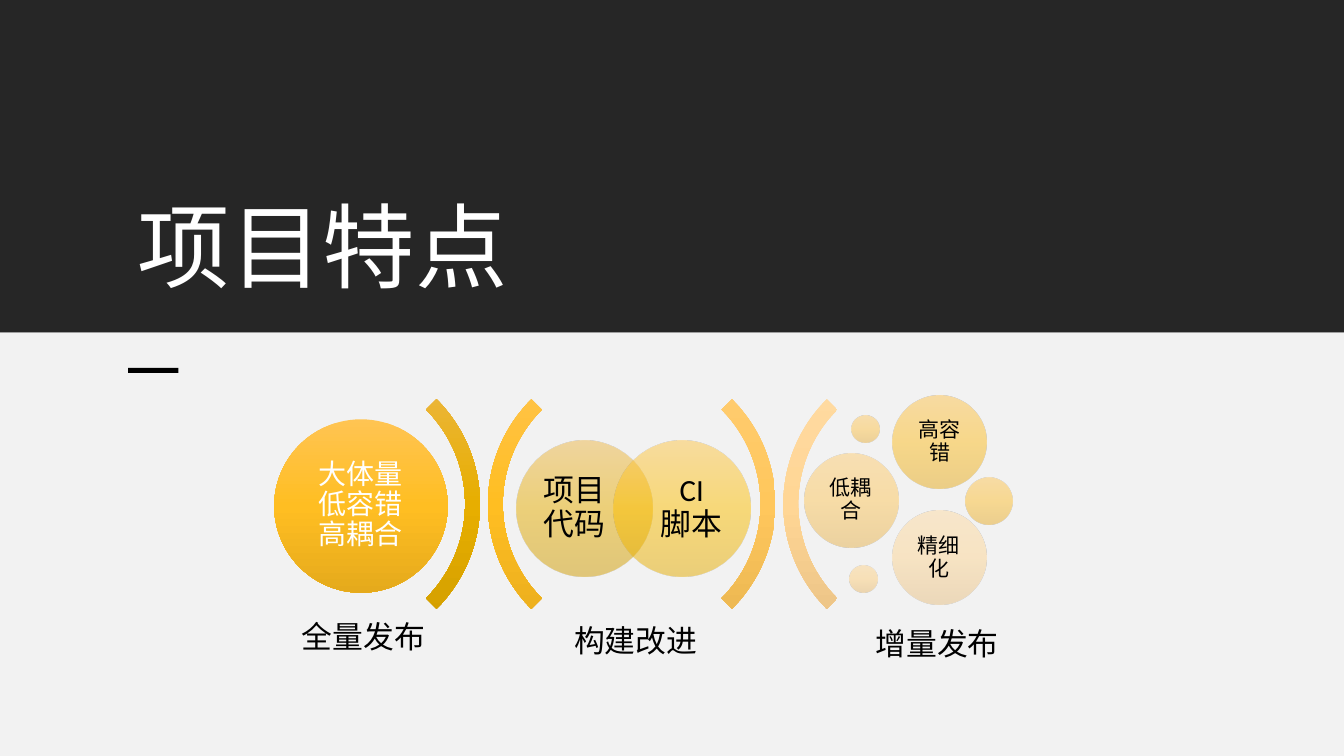
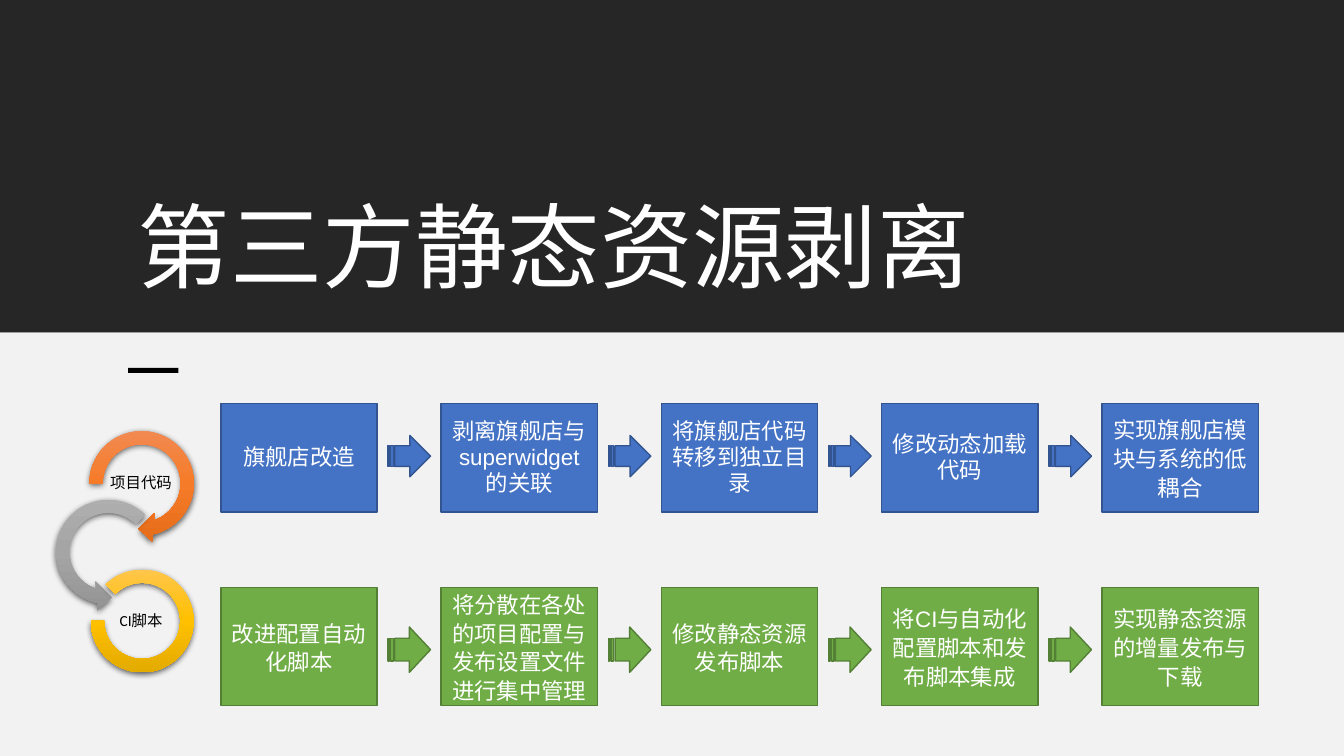
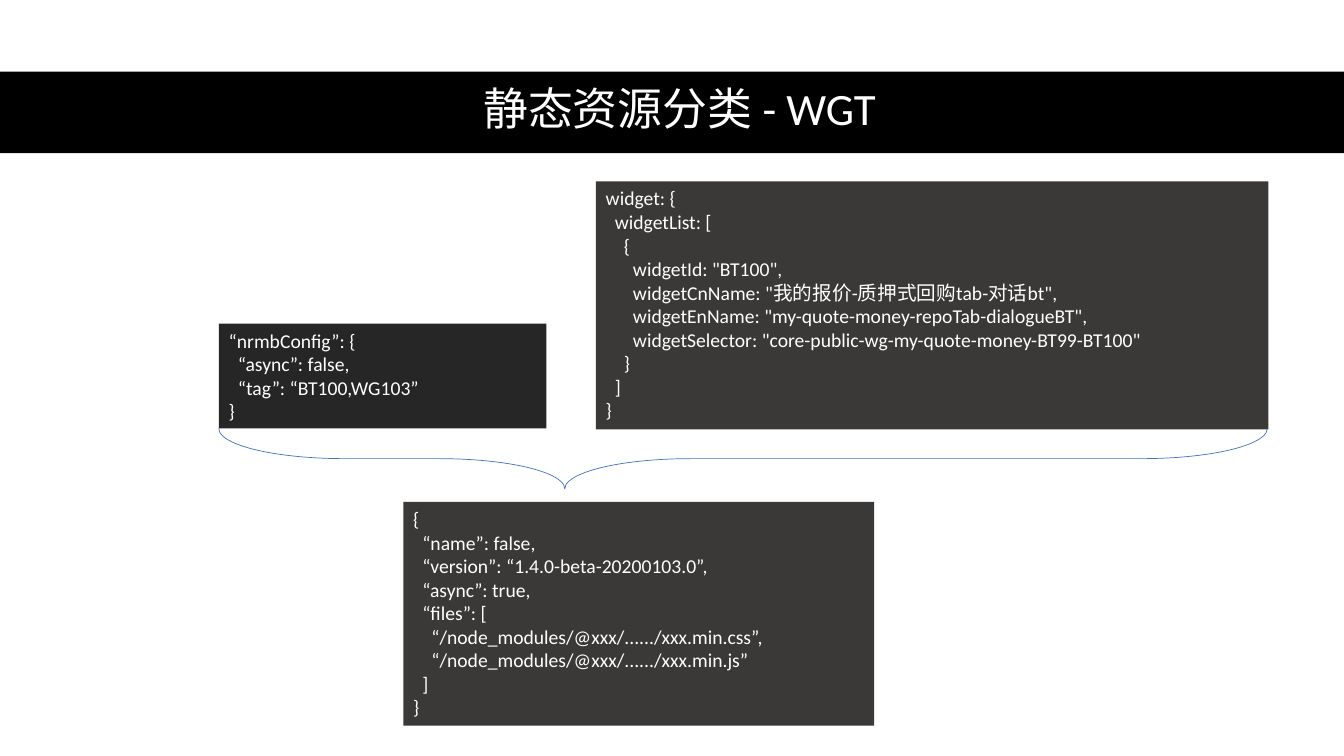
"""Build three slides on project features, resource separation and resource types."""
from lxml.etree import SubElement
from pptx import Presentation
from pptx.dml.color import RGBColor
from pptx.enum.shapes import MSO_SHAPE as SHAPE
from pptx.enum.text import MSO_ANCHOR as ANCHOR, PP_ALIGN as ALIGN
from pptx.oxml.ns import qn
from pptx.util import Inches, Pt

COLORS = {
    "white": "FFFFFF", "black": "000000", "dark": "262626", "panel": "F2F2F2",
    "code": "3B3838", "blue": "4472C4", "blue_line": "325491",
    "green": "70AD47", "green_line": "538035",
}
GRADIENTS = {
    "gold": ("EDB84B", "E7AE00", "CE9B00"),
    "amber": ("FFC452", "FFBE22", "E5AA1C"),
    "yellow": ("FFC64B", "FFC000", "E3AB00"),
    "honey": ("FFC659", "FFC032", "E5AB2B"),
    "sand": ("FFCA69", "FFC44B", "E5AF40"),
    "apricot": ("FFCD75", "FFC75C", "E5B24F"),
    "cream": ("FFD590", "FFCF7D", "E5B86C"),
    "peach": ("FFDBA5", "FFD695", "E5BE82"),
    "orange": ("F18C57", "F67B28", "E56C19"),
    "gray": ("AFAFAF", "A5A5A5", "939393"),
}
TITLE = {"size": 66, "color": "white", "align": ALIGN.LEFT, "inset": (0.1, 0.05)}
INDENT = 0.09


def write(shape, lines, size, color="black", align=ALIGN.CENTER, anchor=ANCHOR.MIDDLE,
          spacing=0.9, after=0, inset=(0, 0), font="Calibri"):
    frame = shape.text_frame
    side, end = Inches(inset[0]), Inches(inset[1])
    frame_format = {"word_wrap": True, "vertical_anchor": anchor, "margin_left": side,
                    "margin_right": side, "margin_top": end, "margin_bottom": end}
    for name, value in frame_format.items():
        setattr(frame, name, value)
    for index, (level, text) in enumerate(lines):
        paragraph = frame.add_paragraph() if index else frame.paragraphs[0]
        paragraph.text = text
        paragraph_format = {"alignment": align, "line_spacing": spacing, "space_after": Pt(after)}
        for name, value in paragraph_format.items():
            setattr(paragraph, name, value)
        if level:
            paragraph._p.get_or_add_pPr().set("marL", str(Inches(INDENT * level)))
        for run in paragraph.runs:
            for name, value in {"size": Pt(size), "name": font}.items():
                setattr(run.font, name, value)
            run.font.color.rgb = RGBColor.from_string(COLORS[color])


def draw(slide, kind, box, fill=None, line=None, width=1, adjustments=(), rotation=0, opacity=100):
    shape = slide.shapes.add_shape(kind, *map(Inches, box))
    shape.shadow.inherit = False
    shape.rotation = rotation
    for index, value in enumerate(adjustments):
        shape.adjustments[index] = value
    if fill in GRADIENTS:
        shape.fill.gradient()
        shape.fill.gradient_angle = 270
        gradient = shape._element.spPr.find(qn("a:gradFill"))
        gradient.set("rotWithShape", "0")
        stops = gradient.find(qn("a:gsLst"))
        stops.clear()
        for index, color in enumerate(GRADIENTS[fill]):
            stop = SubElement(stops, qn("a:gs"), pos=str(index * 50000))
            tone = SubElement(stop, qn("a:srgbClr"), val=color)
            if opacity < 100:
                SubElement(tone, qn("a:alpha"), val=str(opacity * 1000))
    elif fill:
        shape.fill.solid()
        shape.fill.fore_color.rgb = RGBColor.from_string(COLORS[fill])
    else:
        shape.fill.background()
    if line:
        shape.line.color.rgb = RGBColor.from_string(COLORS[line])
        shape.line.width = Pt(width)
    else:
        shape.line.fill.background()
    return shape


presentation = Presentation()
presentation.slide_width, presentation.slide_height = Inches(13.33), Inches(7.5)
features, separation, types = [
    presentation.slides.add_slide(presentation.slide_layouts[6]) for _ in range(3)]

for slide, title in ((features, "项目特点"), (separation, "第三方静态资源剥离")):
    draw(slide, SHAPE.RECTANGLE, (0, 0, 13.33, 3.3), "dark")
    draw(slide, SHAPE.RECTANGLE, (0, 3.3, 13.33, 4.2), "panel")
    draw(slide, SHAPE.RECTANGLE, (1.27, 3.65, 0.5, 0.05), "black")
    title_box = slide.shapes.add_textbox(*map(Inches, (1.27, 0.7, 10.81, 2.34)))
    write(title_box, [(0, title)], anchor=ANCHOR.BOTTOM, **TITLE)

for left, rotation, fill in ((1.82, 90, "gold"), (4.84, 270, "amber"),
                             (4.75, 90, "apricot"), (7.77, 270, "peach")):
    draw(features, SHAPE.BLOCK_ARC, (left, 3.53, 2.94, 2.94), fill,
         adjustments=(135, 189, 0.05), rotation=rotation)

for left, top, diameter, fill, opacity in (
        (2.72, 4.16, 1.72, "amber", 100), (5.12, 4.37, 1.35, "gold", 50),
        (6.09, 4.37, 1.35, "yellow", 50), (8.85, 3.92, 0.93, "amber", 50),
        (9.58, 4.74, 0.46, "honey", 50), (8.45, 4.12, 0.27, "sand", 50),
        (7.98, 4.5, 0.93, "apricot", 50), (8.43, 5.61, 0.27, "cream", 50),
        (8.85, 5.07, 0.93, "peach", 50)):
    draw(features, SHAPE.OVAL, (left, top, diameter, diameter), fill, opacity=opacity)

for text, box, size, color, margin in (
        ("大体量低容错高耦合", (2.97, 4.41, 1.21, 1.21), 20, "white", 0.08),
        ("项目代码", (5.31, 4.53, 0.78, 1.03), 22, "black", 0),
        ("CI\n脚本", (6.47, 4.53, 0.78, 1.03), 22, "black", 0),
        ("高容错", (8.99, 4.06, 0.66, 0.66), 15, "black", 0.06),
        ("低耦合", (8.11, 4.63, 0.66, 0.66), 15, "black", 0.06),
        ("精细化", (8.98, 5.21, 0.66, 0.66), 15, "black", 0.06),
        ("全量发布", (2.49, 6.04, 2.23, 0.59), 22, "black", 0.09),
        ("构建改进", (5.19, 6.08, 2.23, 0.59), 22, "black", 0.09),
        ("增量发布", (8.18, 6.11, 2.23, 0.59), 22, "black", 0.09)):
    label = features.shapes.add_textbox(*map(Inches, box))
    write(label, [(0, text)], size, color, inset=(margin, margin))

flows = (
    ("blue", 4, 1.08, 4.32, 0.41, (0.97, 0.97, 0.97, 0.97, 1.07),
     ("旗舰店改造", "剥离旗舰店与 superwidget 的关联", "将旗舰店代码转移到独立目录",
      "修改动态加载代码", "实现旗舰店模块与系统的低耦合")),
    ("green", 5.83, 1.17, 6.22, 0.45, (1.07,) * 5,
     ("改进配置自动化脚本", "将分散在各处的项目配置与发布设置文件进行集中管理",
      "修改静态资源发布脚本", "将CI与自动化配置脚本和发布脚本集成",
      "实现静态资源的增量发布与下载")),
)
STEP_PITCH = (10.93 - 2.19) / 4
for color, top, height, arrow_top, arrow_height, spacings, steps in flows:
    for index, (text, spacing) in enumerate(zip(steps, spacings)):
        offset = index * STEP_PITCH
        step = draw(separation, SHAPE.RECTANGLE, (2.19 + offset, top, 1.55, height),
                    color, color + "_line")
        write(step, [(0, text)], 16, "white", spacing=spacing, after=8,
              inset=(0.1, 0.05), font="Arial")
        if index < len(steps) - 1:
            draw(separation, SHAPE.STRIPED_RIGHT_ARROW,
                 (3.85 + offset, arrow_top, 0.42, arrow_height), color, color + "_line")

for kind, box, fill, adjustments in (
        (SHAPE.CIRCULAR_ARROW, (0.81, 4.2, 1.19, 1.19), "orange", (0.11, 11.42, 45, 108, 0.12)),
        (SHAPE.LEFT_CIRCULAR_ARROW, (0.48, 4.88, 1.19, 1.19), "gray",
         (0.11, 11.42, 63, 189, 0.12)),
        (SHAPE.BLOCK_ARC, (0.9, 5.65, 1.02, 1.02), "yellow", (135, 108, 0.13))):
    loop = draw(separation, kind, box, fill, adjustments=adjustments)
    effects = loop._element.spPr.find(qn("a:effectLst"))
    shadow = SubElement(effects, qn("a:outerShdw"), blurRad=str(Pt(4.5)), dist=str(Pt(1.5)),
                        dir="5400000", algn="ctr", rotWithShape="0")
    shade = SubElement(shadow, qn("a:srgbClr"), val=COLORS["black"])
    SubElement(shade, qn("a:alpha"), val="63000")

for text, top in (("项目代码", 4.63), ("CI脚本", 6)):
    label = separation.shapes.add_textbox(*map(Inches, (1.07, top, 0.66, 0.33)))
    write(label, [(0, text)], 11, inset=(0.01, 0.01))

draw(types, SHAPE.RECTANGLE, (0, 0.71, 13.33, 0.81), "black")
title_box = types.shapes.add_textbox(*map(Inches, (0.61, 0.7, 12.26, 0.81)))
write(title_box, [(0, "静态资源分类 - WGT")], **{**TITLE, "size": 32, "align": ALIGN.CENTER})

code_blocks = (
    ((2.17, 3.21, 3.25, 1.04), "dark", (
        (0, "“nrmbConfig”: {"), (1, "“async”: false,"), (1, "“tag”: “BT100,WG103”"), (0, "}"))),
    ((4, 4.98, 4.67, 2.22), "code", (
        (0, "{"), (1, "“name”: false,"), (1, "“version”: “1.4.0-beta-20200103.0”,"),
        (1, "“async”: true,"), (1, "“files”: ["),
        (2, "“/node_modules/@xxx/....../xxx.min.css”,"),
        (2, "“/node_modules/@xxx/....../xxx.min.js”"), (1, "]"), (0, "}"))),
    ((5.91, 1.8, 6.67, 2.46), "code", (
        (0, "widget: {"), (1, "widgetList: ["), (2, "{"), (3, 'widgetId: "BT100",'),
        (3, 'widgetCnName: "我的报价-质押式回购tab-对话bt",'),
        (3, 'widgetEnName: "my-quote-money-repoTab-dialogueBT",'),
        (3, 'widgetSelector: "core-public-wg-my-quote-money-BT99-BT100"'),
        (2, "}"), (1, "]"), (0, "}"))),
)
for box, fill, lines in code_blocks:
    block = draw(types, SHAPE.RECTANGLE, box, fill)
    write(block, lines, 14, "white", ALIGN.LEFT, ANCHOR.TOP, 1, inset=(0.1, 0.05))
draw(types, SHAPE.LEFT_BRACE, (7.07, -0.65, 0.6, 10.4), line="blue", width=0.5,
     adjustments=(2.08, 0.33), rotation=270)

presentation.save("out.pptx")
